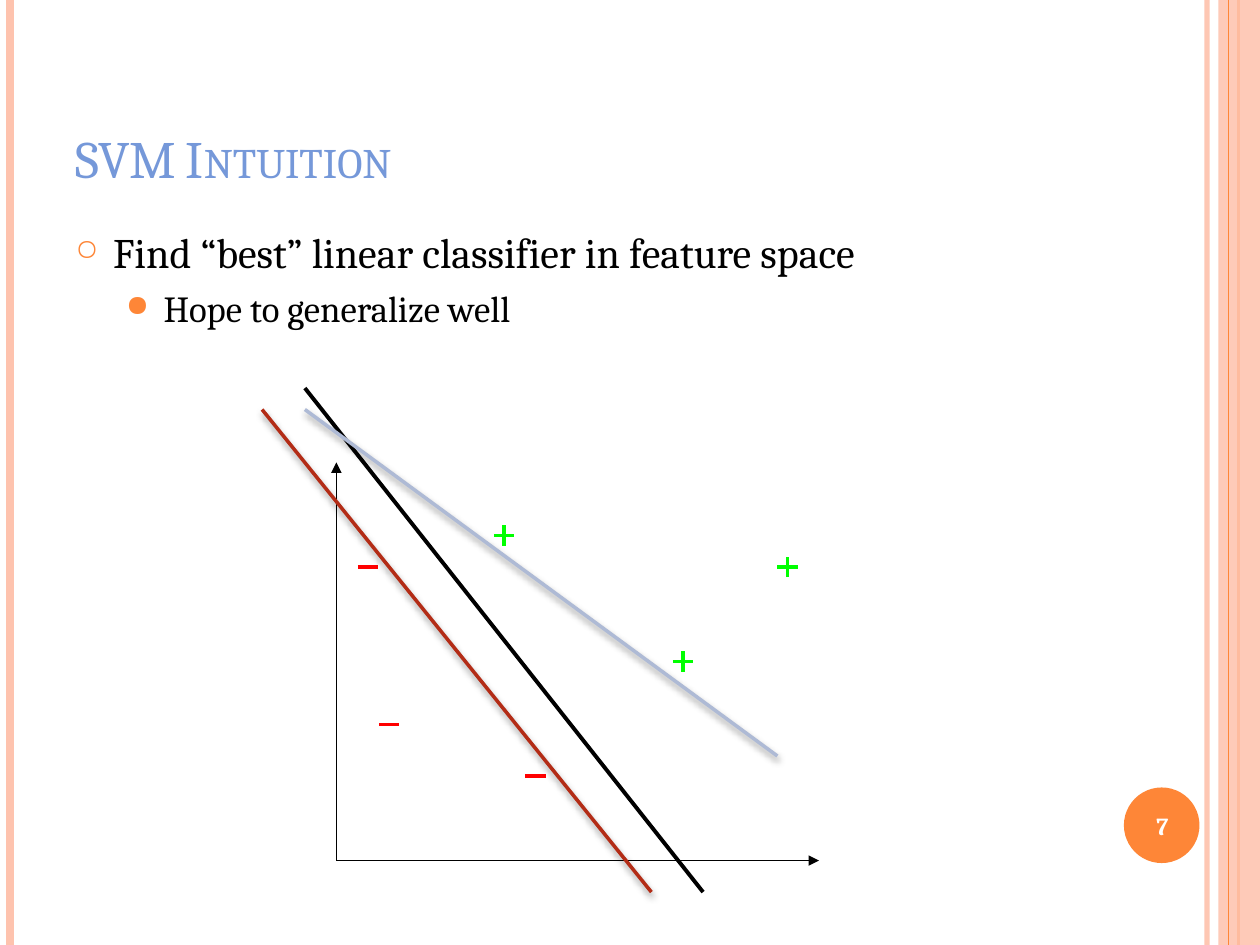
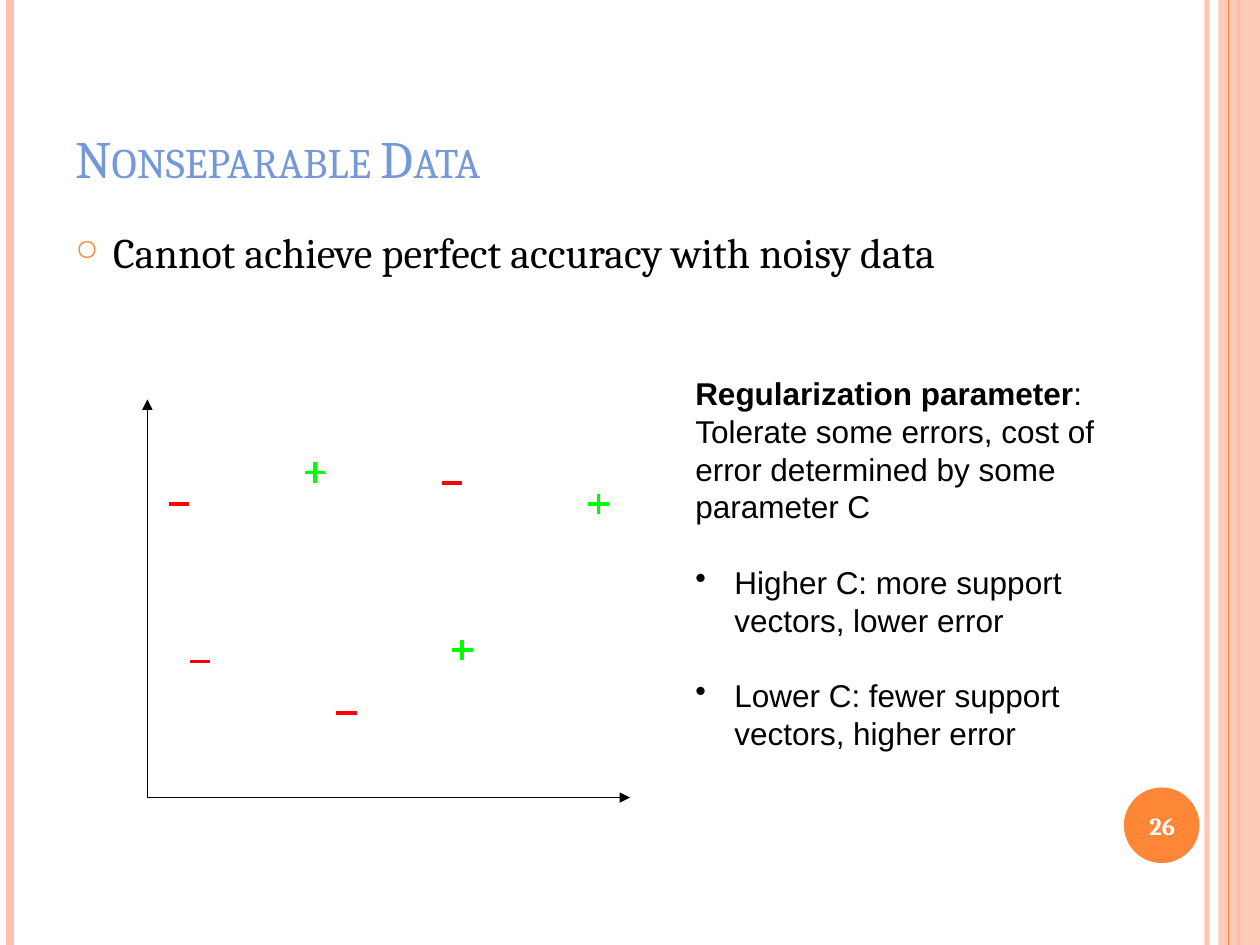
from pptx import Presentation
from pptx.dml.color import RGBColor as RGB
from pptx.enum.shapes import MSO_CONNECTOR as Link, MSO_SHAPE as Shape
from pptx.enum.text import MSO_ANCHOR as Anchor, PP_ALIGN as Align
from pptx.oxml.ns import qn
from pptx.util import Inches, Pt
from lxml.etree import SubElement as Sub

INK = {
    "peach": "FEC3AE", "orange": "FE8637", "title": "7598D9",
    "black": "000000", "white": "FFFFFF", "minus": "FF0000",
    "plus": "00FF00", "blue": "AEBAD5", "rust": "B32C16",
}
SERIF, SANS = "Cambria", "Arial"
HALF = 0.08  # half the length of a plus or minus stroke

# Data points, measured right and up from the origin of the axes
MINUS = [(0.25, 2.33), (0.42, 1.08), (1.58, 0.67)]
PLUS = [(1.33, 2.58), (3.58, 2.33)]


def tint(node, ink, alpha):
    """Make the solid fill under node partly transparent."""
    color = node.find(f"{qn('a:solidFill')}/{qn('a:srgbClr')}")
    Sub(color, qn("a:alpha"), val=str(alpha * 1000))


def line(shapes, start, end, ink, width, arrow=False, alpha=None, shade=False):
    link = shapes.add_connector(
        Link.STRAIGHT, *(Inches(v) for v in (*start, *end)))
    link.line.color.rgb = RGB.from_string(INK[ink])
    link.line.width = Pt(width)
    props = link._element.spPr
    edge = props.find(qn("a:ln"))
    if alpha:
        tint(edge, ink, alpha)
    if arrow:
        Sub(edge, qn("a:tailEnd"), type="triangle")
    effects = Sub(props, qn("a:effectLst"))
    if shade:
        drop = Sub(effects, qn("a:outerShdw"), blurRad=str(Pt(4)),
                   dist=str(Pt(2)), dir="5400000", rotWithShape="0")
        color = Sub(drop, qn("a:srgbClr"), val=INK["black"])
        Sub(color, qn("a:alpha"), val="40000")


def block(slide, kind, box, ink, alpha=None):
    shape = slide.shapes.add_shape(kind, *map(Inches, box))
    shape.shadow.inherit = False
    shape.fill.solid()
    shape.fill.fore_color.rgb = RGB.from_string(INK[ink])
    shape.line.fill.background()
    if alpha:
        tint(shape._element.spPr, ink, alpha)


def frame(slide, box, anchor=Anchor.TOP):
    text = slide.shapes.add_textbox(*map(Inches, box)).text_frame
    text.word_wrap = True
    text.vertical_anchor = anchor
    return text


def style(para, size, face, ink="black", bold=None):
    para.font.size = Pt(size)
    para.font.name = face
    para.font.color.rgb = RGB.from_string(INK[ink])
    para.font.bold = bold


def bullet(para, mark, left, hang, gap, ink=None, scale=100):
    para.space_before = Pt(gap)
    props = para._p.get_or_add_pPr()
    props.set("marL", str(Inches(left)))
    props.set("indent", str(-Inches(hang)))
    if ink:
        Sub(Sub(props, qn("a:buClr")), qn("a:srgbClr"), val=INK[ink])
    Sub(props, qn("a:buSzPct"), val=str(scale * 1000))
    Sub(props, qn("a:buChar"), char=mark)


def base(deck, title, number):
    """Start a slide with its side bands, title and page number."""
    slide = deck.slides.add_slide(deck.slide_layouts[6])

    def rule(x, ink, width, alpha=None):
        line(slide.shapes, (x, 0), (x, 7.5), ink, width, alpha=alpha)

    # Side bands
    rule(9.58, "peach", 3, 93)
    rule(0.08, "peach", 4.5)
    rule(9.83, "orange", 1.5)
    block(slide, Shape.RECTANGLE, (9.67, 0, 0.33, 7.5), "peach", 87)
    rule(9.75, "orange", 0.75)
    block(slide, Shape.OVAL, (8.92, 6.25, 0.6, 0.6), "orange")

    # Title in small capitals
    head = frame(slide, (0.5, 0.3, 8.17, 1.25), Anchor.BOTTOM).paragraphs[0]
    head.text = title
    style(head, 30, SERIF, "title")
    head._p.pPr.find(qn("a:defRPr")).set("cap", "small")
    for run in head.runs:
        run._r.get_or_add_rPr().set("cap", "small")

    # Page number
    page = frame(slide, (8.89, 6.27, 0.67, 0.57), Anchor.MIDDLE).paragraphs[0]
    page.text = str(number)
    page.alignment = Align.CENTER
    style(page, 14, SERIF, "white", True)
    return slide


def body(slide, point, sub=None):
    text = frame(slide, (0.5, 1.75, 8.17, 5.33))
    para = text.paragraphs[0]
    para.text = point
    bullet(para, "○", 0.3, 0.3, 6, "orange", 70)
    style(para, 24, SERIF)
    if sub:
        para = text.add_paragraph()
        para.text = sub
        para.level = 1
        bullet(para, "●", 0.7, 0.3, 5, "orange", 80)
        style(para, 21, SERIF)


def plot(slide, origin, minus, plus):
    """Draw the axes and the labelled data points."""
    left, base_y = origin
    shapes = slide.shapes
    for tip in ((left, base_y - 3.16), (left + 3.83, base_y)):
        line(shapes, origin, tip, "black", 0.75, arrow=True)
    for dx, dy in minus:
        x, y = left + dx, base_y - dy
        line(shapes, (x - HALF, y), (x + HALF, y), "minus", 2.25)
    for dx, dy in plus:
        x, y = left + dx, base_y - dy
        group = shapes.add_group_shape().shapes
        line(group, (x - HALF, y), (x + HALF, y), "plus", 2.25)
        line(group, (x, y + HALF), (x, y - HALF), "plus", 2.25)


def note(slide):
    text = frame(slide, (5.42, 2.92, 3.67, 3.13))
    term = text.paragraphs[0]
    style(term, 18, SANS)
    term.add_run().text = "Regularization parameter"
    term.runs[0].font.bold = True
    term.add_run().text = ":"
    para = text.add_paragraph()
    para.text = ("Tolerate some errors, cost of error determined "
                 "by some parameter C")
    style(para, 18, SANS)
    for point in ("Higher C: more support vectors, lower error",
                  "Lower C: fewer support vectors, higher error"):
        para = text.add_paragraph()
        para.text = point
        bullet(para, "•", 0.31, 0.31, 21.5)
        style(para, 18, SANS)


def main():
    deck = Presentation()
    deck.slide_width, deck.slide_height = Inches(10), Inches(7.5)

    # Candidate separating lines
    slide = base(deck, "SVM Intuition", 7)
    body(slide, "Find “best” linear classifier in feature space",
         "Hope to generalize well")
    plot(slide, (2.67, 6.83), MINUS, PLUS + [(2.75, 1.58)])
    line(slide.shapes, (2.42, 3.08), (5.58, 7.08), "black", 2.25)
    line(slide.shapes, (2.42, 3.25), (6.17, 6), "blue", 2, shade=True)
    line(slide.shapes, (2.08, 3.25), (5.17, 7.08), "rust", 2, shade=True)

    # Noisy data
    slide = base(deck, "Nonseparable Data", 26)
    body(slide, "Cannot achieve perfect accuracy with noisy data")
    plot(slide, (1.17, 6.33), MINUS + [(2.42, 2.5)], PLUS + [(2.5, 1.17)])
    note(slide)

    deck.save("out.pptx")


if __name__ == "__main__":
    main()
